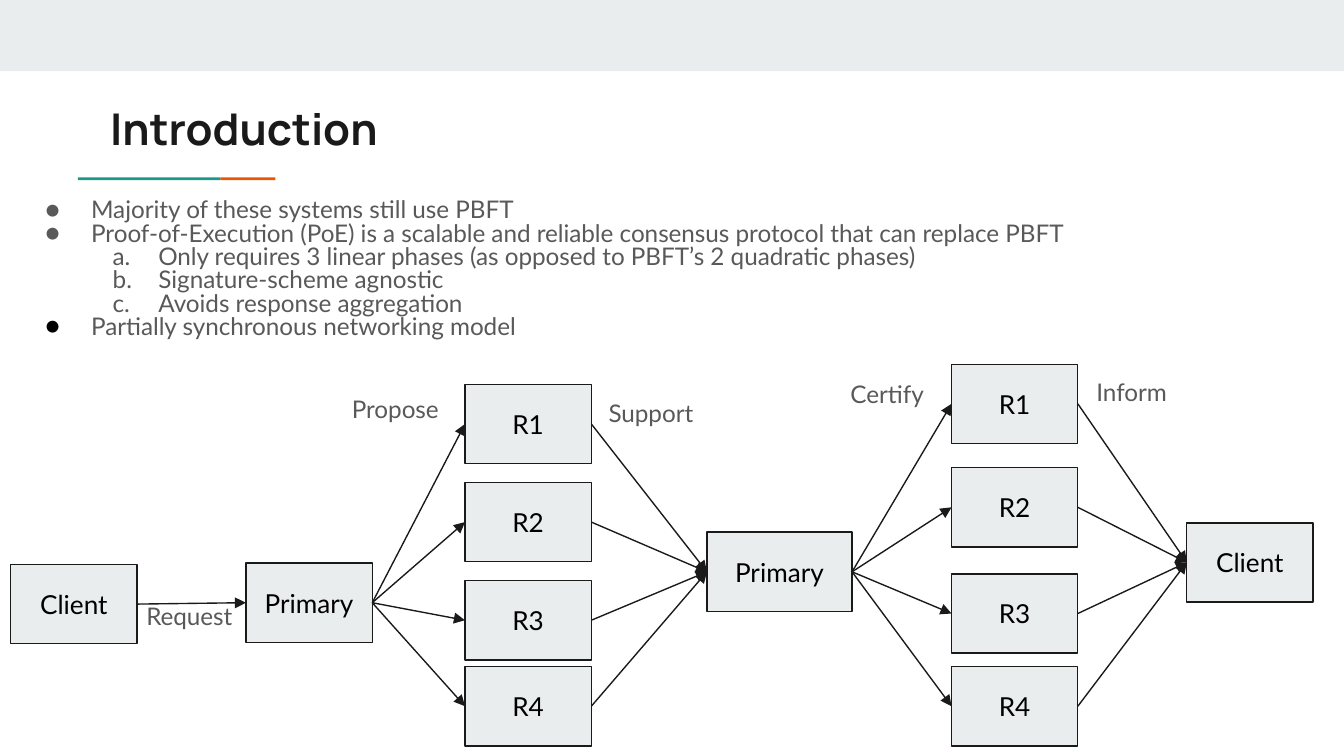
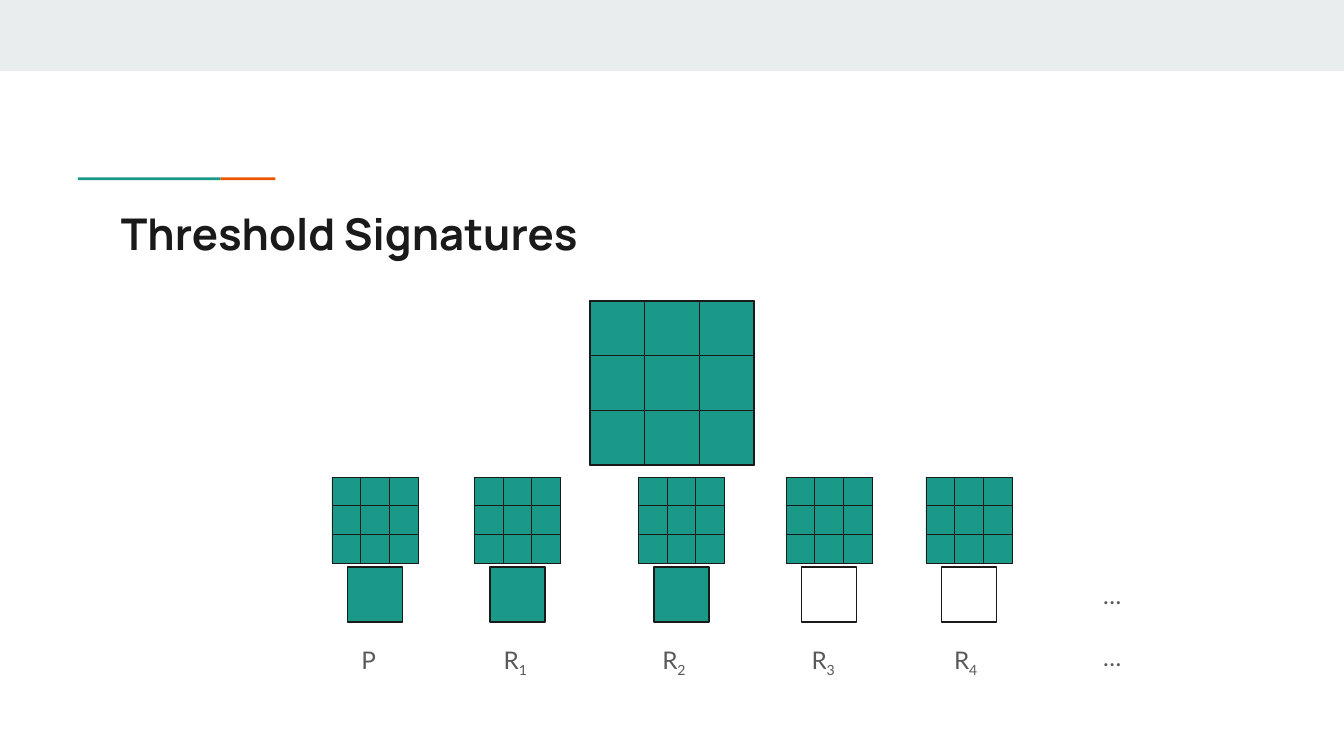
from lxml import etree
from pptx import Presentation
from pptx import util as u
from pptx.dml.color import RGBColor
from pptx.enum import shapes, text
from pptx.oxml.ns import qn

INK = RGBColor(0x1A, 0x1A, 0x1A)
GRAY = RGBColor(0x59, 0x59, 0x59)
PALE = RGBColor(0xE9, 0xED, 0xEE)
TEAL = RGBColor(0x1A, 0x99, 0x88)
ORANGE = RGBColor(0xEB, 0x56, 0x00)
WHITE = RGBColor(0xFF, 0xFF, 0xFF)
BLACK = RGBColor(0x00, 0x00, 0x00)

TITLE_FONT = "Manrope"
BODY_FONT = "Lato"
BODY_SIZE = 13
LINE_WIDTH = 0.75

NODE_WIDTH, NODE_HEIGHT = 0.94, 0.59
LEFT_SITE, RIGHT_SITE = 1, 3

# text, level, bullet colour
BULLETS = [
    ("Majority of these systems still use PBFT", 0, GRAY),
    ("Proof-of-Execution (PoE) is a scalable and reliable consensus protocol "
     "that can replace PBFT", 0, GRAY),
    ("Only requires 3 linear phases (as opposed to PBFT’s 2 quadratic phases)", 1, GRAY),
    ("Signature-scheme agnostic", 1, GRAY),
    ("Avoids response aggregation", 1, GRAY),
    ("Partially synchronous networking model", 0, BLACK),
]

# text, left, top
PHASE_LABELS = [
    ("Request", 0.99, 4.37),
    ("Propose", 2.52, 2.83),
    ("Support", 4.43, 2.86),
    ("Certify", 6.23, 2.72),
    ("Inform", 8.06, 2.71),
]

# name, subscript, centre of the squares, left of the label, label width, has signed
SIGNERS = [
    ("P", "", 2.79, 2.59, 2.23, True),
    ("R", "1", 3.85, 3.65, 2.23, True),
    ("R", "2", 5.07, 4.83, 2.23, True),
    ("R", "3", 6.17, 5.94, 1.17, False),
    ("R", "4", 7.21, 7.0, 0.41, False),
]


def place(left, top, width, height):
    return [u.Inches(value) for value in (left, top, width, height)]


def add_run(paragraph, words, size=BODY_SIZE, color=GRAY, font=BODY_FONT, bold=False):
    run = paragraph.add_run()
    run.text = words
    run.font.name = font
    run.font.size = u.Pt(size)
    run.font.bold = bold
    run.font.color.rgb = color
    return run


def set_frame(frame, anchor=text.MSO_ANCHOR.TOP):
    frame.word_wrap = True
    frame.auto_size = text.MSO_AUTO_SIZE.NONE
    frame.vertical_anchor = anchor
    frame.margin_left = frame.margin_right = u.Inches(0.1)
    frame.margin_top = frame.margin_bottom = u.Inches(0.1)


def add_rect(slide, left, top, width, height, fill=None, line_width=None):
    shape = slide.shapes.add_shape(
        shapes.MSO_SHAPE.RECTANGLE, *place(left, top, width, height))
    shape.shadow.inherit = False
    if fill is None:
        shape.fill.background()
    else:
        shape.fill.solid()
        shape.fill.fore_color.rgb = fill
    if line_width is None:
        shape.line.fill.background()
    else:
        shape.line.color.rgb = INK
        shape.line.width = u.Pt(line_width)
    return shape


def add_text_box(slide, left, top, width, height):
    """Add an empty text box and return its text frame."""
    frame = slide.shapes.add_textbox(*place(left, top, width, height)).text_frame
    set_frame(frame)
    return frame


def add_label(slide, words, left, top, width, height, subscript=""):
    paragraph = add_text_box(slide, left, top, width, height).paragraphs[0]
    add_run(paragraph, words)
    if subscript:
        run = add_run(paragraph, subscript)
        run._r.get_or_add_rPr().set("baseline", "-25000")


def add_titled_slide(presentation, title, left, top):
    """Add a slide with the shared band, accent rule and title."""
    slide = presentation.slides.add_slide(presentation.slide_layouts[5])
    add_rect(slide, 0, 0, 10, 0.53, PALE)
    add_rect(slide, 1.64, 1.32, 0.41, 0.02, ORANGE)
    add_rect(slide, 0.58, 1.32, 1.06, 0.02, TEAL)
    shape = slide.shapes.title
    shape.left, shape.top, shape.width, shape.height = place(left, top, 8.41, 0.59)
    set_frame(shape.text_frame)
    paragraph = shape.text_frame.paragraphs[0]
    paragraph.alignment = text.PP_ALIGN.LEFT
    add_run(paragraph, title, 23.4, INK, TITLE_FONT, bold=True)
    return slide


def set_bullet(paragraph, level, color):
    paragraph.level = level
    properties = paragraph._p.get_or_add_pPr()
    properties.set("marL", str(u.Inches(0.5 * (level + 1))))
    properties.set("indent", str(u.Inches(-0.34)))
    bullet_color = etree.SubElement(properties, qn("a:buClr"))
    etree.SubElement(bullet_color, qn("a:srgbClr"), val=str(color))
    etree.SubElement(properties, qn("a:buFont"), typeface=BODY_FONT)
    if level == 0:
        etree.SubElement(properties, qn("a:buChar"), char="●")
    else:
        etree.SubElement(properties, qn("a:buAutoNum"), type="alphaLcPeriod")


def add_bullets(slide, bullets, left, top, width, height):
    frame = add_text_box(slide, left, top, width, height)
    for index, (words, level, color) in enumerate(bullets):
        paragraph = frame.add_paragraph() if index else frame.paragraphs[0]
        paragraph.line_spacing = 0.8
        set_bullet(paragraph, level, color)
        add_run(paragraph, words)


def add_node(slide, name, left, top, width=NODE_WIDTH):
    shape = add_rect(slide, left, top, width, NODE_HEIGHT, PALE, LINE_WIDTH)
    set_frame(shape.text_frame, text.MSO_ANCHOR.MIDDLE)
    paragraph = shape.text_frame.paragraphs[0]
    paragraph.alignment = text.PP_ALIGN.CENTER
    add_run(paragraph, name, 14, BLACK)
    return shape


def add_replicas(slide, left, tops):
    return [add_node(slide, f"R{number}", left, top)
            for number, top in enumerate(tops, 1)]


def add_arrow(slide, source, target):
    """Join the right side of source to the left side of target."""
    arrow = slide.shapes.add_connector(shapes.MSO_CONNECTOR.STRAIGHT, 0, 0, 0, 0)
    arrow.begin_connect(source, RIGHT_SITE)
    arrow.end_connect(target, LEFT_SITE)
    arrow.line.color.rgb = INK
    arrow.line.width = u.Pt(LINE_WIDTH)
    etree.SubElement(arrow.line._get_or_add_ln(), qn("a:tailEnd"), type="triangle")
    etree.SubElement(arrow._element.spPr, qn("a:effectLst"))


def add_signature_grid(slide, left, top, side, line_width):
    """Draw a square made of three by three filled cells."""
    add_rect(slide, left, top, side, side, WHITE, line_width)
    cell = side / 3
    for row in range(3):
        for column in range(3):
            add_rect(slide, left + column * cell, top + row * cell,
                     cell, cell, TEAL, line_width)


def build_introduction(presentation):
    slide = add_titled_slide(presentation, "Introduction", 0.72, 0.66)
    add_bullets(slide, BULLETS, 0.08, 1.39, 8.41, 1.47)

    client = add_node(slide, "Client", 0.08, 4.2)
    primary = add_node(slide, "Primary", 1.83, 4.19)
    proposed = add_replicas(slide, 3.46, [2.86, 3.59, 4.32, 4.96])
    collector = add_node(slide, "Primary", 5.26, 3.96, 1.08)
    certified = add_replicas(slide, 7.08, [2.71, 3.48, 4.27, 4.96])
    informed = add_node(slide, "Client", 8.83, 3.89)

    stages = [[client], [primary], proposed, [collector], certified, [informed]]
    for sources, targets in zip(stages, stages[1:]):
        for source in sources:
            for target in targets:
                add_arrow(slide, source, target)

    for words, left, top in PHASE_LABELS:
        add_label(slide, words, left, top, NODE_WIDTH, 0.35)


def build_threshold_signatures(presentation):
    slide = add_titled_slide(presentation, "Threshold Signatures", 0.8, 1.44)
    add_signature_grid(slide, 4.39, 2.24, 1.22, LINE_WIDTH)
    grid_side, share_side = 0.64, 0.41
    for name, subscript, center, label_left, label_width, signed in SIGNERS:
        add_signature_grid(slide, center - grid_side / 2, 3.55, grid_side, 0.39)
        add_rect(slide, center - share_side / 2, 4.22, share_side, share_side,
                 TEAL if signed else None, LINE_WIDTH)
        add_label(slide, name, label_left, 4.7, label_width, 0.42, subscript)
    for top in (4.22, 4.68):
        add_label(slide, "…", 8.11, top, 1.97, 0.42)


def main():
    presentation = Presentation()
    presentation.slide_width = u.Inches(10)
    presentation.slide_height = u.Inches(10 * 9 / 16)
    build_introduction(presentation)
    build_threshold_signatures(presentation)
    presentation.save("out.pptx")


if __name__ == "__main__":
    main()
